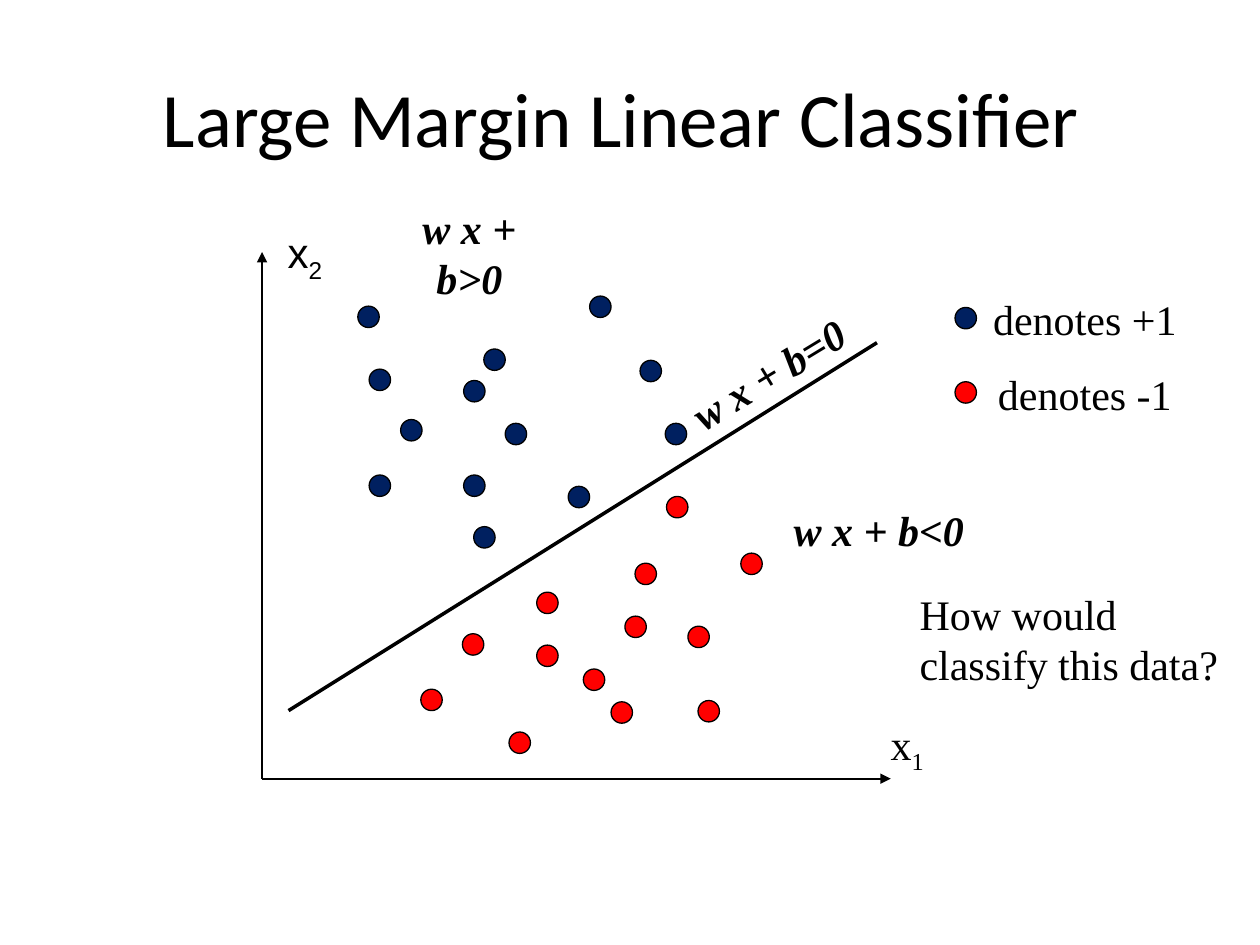
from lxml import etree
from pptx import Presentation
from pptx.dml.color import RGBColor
from pptx.enum.shapes import MSO_CONNECTOR, MSO_SHAPE
from pptx.enum.text import MSO_ANCHOR, PP_ALIGN
from pptx.oxml.ns import qn
from pptx.util import Inches, Pt

STRAIGHT = MSO_CONNECTOR.STRAIGHT
OVAL = MSO_SHAPE.OVAL
TOP, MIDDLE = MSO_ANCHOR.TOP, MSO_ANCHOR.MIDDLE
LEFT, CENTER = PP_ALIGN.LEFT, PP_ALIGN.CENTER

COLORS = {"ink": "000000", "positive": "002060", "negative": "FF0000"}
SERIF = "Times New Roman"
DOT_SIZE = 0.17
ORIGIN = (2.08, 6.18)

POSITIVE_POINTS = [
    (2.84, 2.43), (2.93, 2.93), (3.84, 2.77), (2.93, 3.77), (3.68, 3.77),
    (4.68, 2.35), (5.08, 2.86), (3.68, 3.02), (3.18, 3.33), (4.01, 3.36),
    (5.28, 3.36), (3.76, 4.18), (4.51, 3.86),
]
NEGATIVE_POINTS = [
    (4.26, 4.7), (5.04, 4.47), (4.96, 4.89), (5.46, 4.97), (5.88, 4.39),
    (4.63, 5.31), (4.04, 5.81), (5.54, 5.56), (4.85, 5.57), (3.34, 5.47),
    (4.26, 5.12), (5.29, 3.94), (3.67, 5.03),
]
LEGEND_POINTS = {"positive": (7.58, 2.44), "negative": (7.58, 3.03)}


def color(name):
    """Return the named palette colour."""
    return RGBColor.from_string(COLORS[name])


def add_line(slide, start, end, width, arrow=False):
    """Draw a straight line, with an arrowhead at its end if asked."""
    line = slide.shapes.add_connector(STRAIGHT, *map(Inches, start + end))
    line.line.color.rgb = color("ink")
    line.line.width = Pt(width)
    properties = line._element.spPr
    if arrow:
        outline = properties.find(qn("a:ln"))
        etree.SubElement(outline, qn("a:tailEnd"), type="triangle")
    etree.SubElement(properties, qn("a:effectLst"))


def add_dot(slide, position, fill):
    """Draw one data point."""
    dot = slide.shapes.add_shape(OVAL, *map(Inches, position + (DOT_SIZE, DOT_SIZE)))
    dot.shadow.inherit = False
    dot.fill.solid()
    dot.fill.fore_color.rgb = color(fill)
    dot.line.color.rgb = color("ink")
    dot.line.width = Pt(0.75)


def add_text(slide, box, lines, size=24, font=SERIF, align=CENTER, anchor=TOP, wrap=True):
    """Add a text box with one paragraph per line and return it."""
    text_box = slide.shapes.add_textbox(*map(Inches, box))
    frame = text_box.text_frame
    frame.word_wrap = wrap
    frame.vertical_anchor = anchor
    frame.text = "\n".join(lines)
    for index, paragraph in enumerate(frame.paragraphs):
        paragraph.alignment = align
        paragraph.space_before = Pt(14 if index else 0)
        paragraph.font.size = Pt(size)
        paragraph.font.name = font
        paragraph.font.color.rgb = color("ink")
    return text_box


def add_axis_label(slide, box, subscript, font, wrap):
    """Add an axis name x with a subscript."""
    label = add_text(slide, box, ["x"], font=font, wrap=wrap)
    run = label.text_frame.paragraphs[0].add_run()
    run.text = subscript
    run._r.get_or_add_rPr().set("baseline", "-25000")


def add_formula(slide, box, formula, rotation=0):
    """Add a bold italic formula, turned by the given degrees."""
    text_box = add_text(slide, box, [formula], anchor=MIDDLE, wrap=False)
    text_box.rotation = rotation
    font = text_box.text_frame.paragraphs[0].font
    font.bold = font.italic = True


def main():
    """Build the classifier slide."""
    presentation = Presentation()
    presentation.slide_width = Inches(10)
    presentation.slide_height = Inches(7.5)
    slide = presentation.slides.add_slide(presentation.slide_layouts[6])

    add_text(slide, (0.5, 0.3, 9, 1.25), ["Large Margin Linear Classifier "],
             size=44, font="Calibri", anchor=MIDDLE)

    add_line(slide, ORIGIN, (7.07, 6.18), 1, arrow=True)
    add_line(slide, ORIGIN, (2.08, 2), 1, arrow=True)
    add_line(slide, (2.29, 5.64), (6.96, 2.72), 2)
    add_axis_label(slide, (6.96, 5.65, 0.48, 0.5), "1", SERIF, wrap=False)
    add_axis_label(slide, (2.08, 1.75, 0.68, 0.52), "2", "Arial", wrap=True)

    for position in POSITIVE_POINTS:
        add_dot(slide, position, "positive")
    for position in NEGATIVE_POINTS:
        add_dot(slide, position, "negative")

    add_text(slide, (7.39, 2.28, 2.44, 1.11), ["denotes +1", "denotes -1"])
    for fill, position in LEGEND_POINTS.items():
        add_dot(slide, position, fill)
    add_text(slide, (7.2, 4.62, 2.63, 0.91), ["How would classify this data?"], align=LEFT)

    add_formula(slide, (4.94, 2.52, 2.31, 0.89), "w x + b=0", rotation=328.8)
    add_formula(slide, (3.12, 1.84, 1.21, 0.33), "w x + b>0")
    add_formula(slide, (6.1, 4.04, 1.75, 0.33), "w x + b<0")

    presentation.save("out.pptx")


if __name__ == "__main__":
    main()
